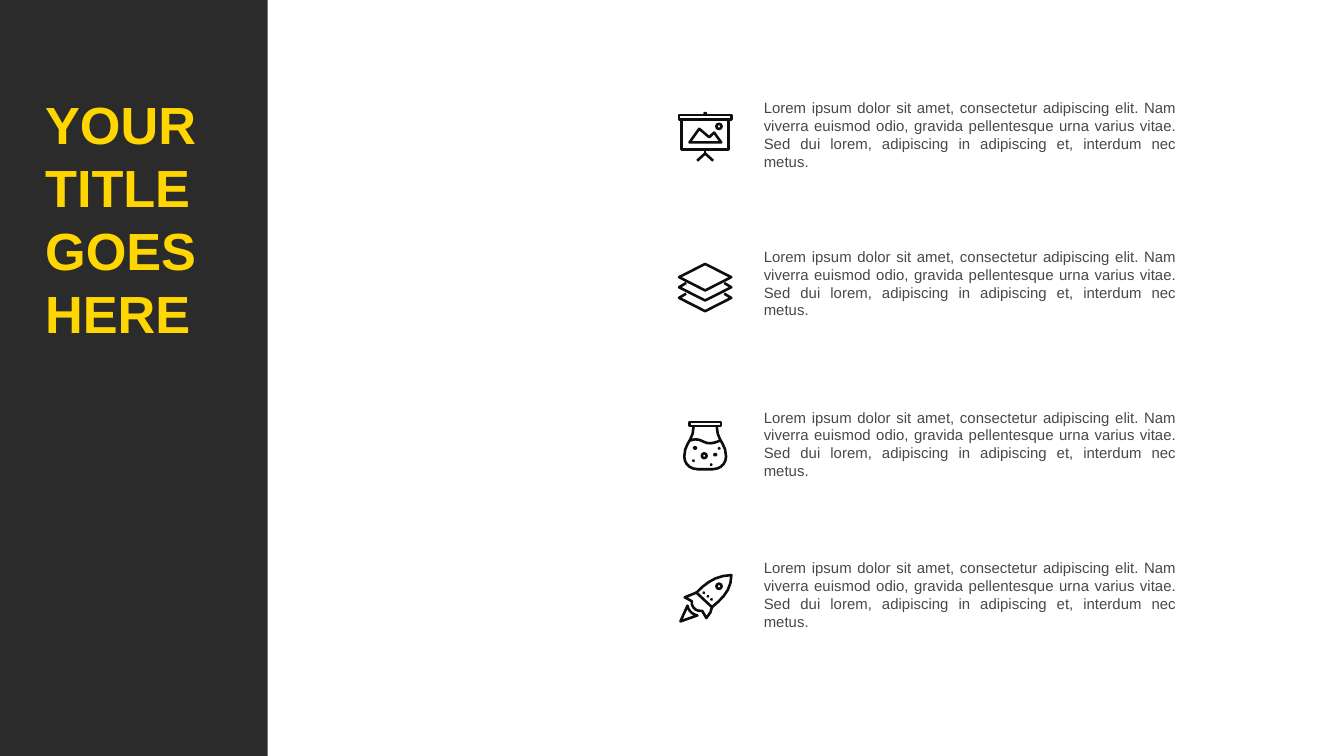
import math

from lxml import etree
from pptx import Presentation
from pptx.dml.color import RGBColor
from pptx.enum import shapes, text
from pptx.oxml import ns
from pptx.util import Pt

COLOURS = {"ink": "0E0E0E", "title": "FFD600", "body": "484848"}
STROKE = 1.4
ICON_LEFT = 363
MIDDLE = 14.8
LOREM = (
    "Lorem ipsum dolor sit amet, consectetur adipiscing elit. Nam viverra euismod odio, "
    "gravida pellentesque urna varius vitae. Sed dui lorem, adipiscing in adipiscing et, "
    "interdum nec metus."
)


def colour(name):
    return RGBColor.from_string(COLOURS[name])


def write(box, words, size, name, align, bold=False):
    frame = box.text_frame
    frame.word_wrap = True
    frame.auto_size = text.MSO_AUTO_SIZE.SHAPE_TO_FIT_TEXT
    frame.vertical_anchor = text.MSO_ANCHOR.TOP
    para = frame.paragraphs[0]
    para.alignment = align
    para.line_spacing = 1.0
    span = para.add_run()
    span.text = words
    span.font.name = "Arial"
    span.font.size = Pt(size)
    span.font.bold = bold
    span.font.color.rgb = colour(name)


def add_sidebar(page):
    sidebar = page.shapes.add_shape(shapes.MSO_SHAPE.RECTANGLE, 0, 0, Pt(143.5), Pt(405))
    sidebar.shadow.inherit = False
    sidebar.line.fill.background()
    sidebar.fill.solid()
    sidebar.fill.fore_color.rgb = colour("ink")
    shade = sidebar.element.spPr.find(".//" + ns.qn("a:srgbClr"))
    etree.SubElement(shade, ns.qn("a:alpha"), val="88000")
    return sidebar


def add_title(page, words):
    title = page.shapes.title
    title.left, title.top, title.width, title.height = Pt(17), Pt(46), Pt(129.6), Pt(143.3)
    write(title, words, 28, "title", text.PP_ALIGN.LEFT, True)
    return title


def add_note(page, top):
    box = page.shapes.add_textbox(Pt(402.1), Pt(top), Pt(235.4), Pt(46))
    write(box, LOREM, 8, "body", text.PP_ALIGN.JUSTIFY)
    box.text_frame.paragraphs[0].space_after = Pt(11.2)


def add_icon(page, top, contours):
    builder = None
    for points, closed in contours:
        spots = [(Pt(ICON_LEFT + x), Pt(top + y)) for x, y in points]
        if builder is None:
            builder = page.shapes.build_freeform(*spots[0], scale=1.0)
        else:
            builder.move_to(*spots[0])
        builder.add_line_segments(spots[1:], close=closed)
    icon = builder.convert_to_shape()
    icon.shadow.inherit = False
    icon.fill.background()
    icon.line.color.rgb = colour("ink")
    icon.line.width = Pt(STROKE)
    etree.SubElement(icon.element.spPr.find(ns.qn("a:ln")), ns.qn("a:round"))


def curve(start, pull, push, end, steps=5):
    points = []
    for step in range(steps + 1):
        t = step / steps
        weights = ((1 - t) ** 3, 3 * t * (1 - t) ** 2, 3 * t * t * (1 - t), t ** 3)
        pairs = list(zip(weights, (start, pull, push, end)))
        points.append(tuple(sum(w * spot[axis] for w, spot in pairs) for axis in (0, 1)))
    return points


def bar(x, y, width, height):
    return [(x, y), (x + width, y), (x + width, y + height), (x, y + height)], True


def ring(x, y, radius, corners=8):
    turns = [2 * math.pi * corner / corners for corner in range(corners)]
    return [(x + radius * math.cos(t), y + radius * math.sin(t)) for t in turns], True


def dot(x, y, radius=0.1):
    return ring(x, y, radius, 4)


def easel():
    return [
        bar(0.8, 1.8, 28, 2.4),
        bar(2.2, 4.3, 25.2, 15.9),
        dot(MIDDLE, 1, 0.4),
        ring(22.2, 7.9, 1.4),
        ([(6.4, 16.5), (11.6, 9.2), (17, 13.7), (19.6, 11.2), (23.4, 16.5)], True),
        ([(MIDDLE, 20.2), (MIDDLE, 22.4)], False),
        ([(10.5, 26.3), (MIDDLE, 22.4), (19.1, 26.3)], False),
    ]


def layers():
    contours = [([(0.8, 8.1), (MIDDLE, 1), (28.8, 8.1), (MIDDLE, 15.2)], True)]
    for drop in (0, 5.7):
        edge = [(4.6, 11.2), (0.8, 13.5), (MIDDLE, 20.6), (28.8, 13.5), (25, 11.2)]
        contours.append(([(x, y + drop) for x, y in edge], False))
    return contours


def flask():
    half = curve((8.6, 3.2), (8.6, 11), (3.6, 12), (3.6, 19.4))
    half += curve((3.6, 19.4), (3.6, 23.2), (6.6, 26.2), (10.8, 26.2))[1:]
    surface = curve((6.8, 10.9), (9, 9.8), (11.6, 10.1), (14, 11.5))
    surface += curve((14, 11.5), (17.3, 13.2), (20.5, 11.8), (22.7, 10.9))[1:]
    return [
        bar(6.3, 0.8, 17, 2.2),
        (half + [(2 * MIDDLE - x, y) for x, y in reversed(half)], False),
        (surface, False),
        ring(14.3, 19, 1.3),
        dot(9.4, 14.8, 0.5),
        dot(20.2, 18.4, 0.5),
        dot(22.3, 15.1),
        dot(8.6, 21.6),
        dot(18, 23.8),
    ]


def rocket():
    nose, left, right = (28.8, 0.8), (10.1, 10.2), (18.4, 18)
    hull = curve(nose, (21, 1), (15.5, 4.5), left) + curve(right, (24.5, 13), (28.8, 8.5), nose)
    fins = [left, (3.8, 12.7)] + curve((7.6, 14.8), (7.2, 18), (9.8, 20.4), (13.2, 20))
    flame = [(1.5, 25.6)] + curve((5.3, 17.2), (5.8, 20), (7.8, 21.8), (10.6, 22.4))
    return [
        (hull, True),
        (fins + [(15.4, 23.8), (17.6, 20.8), right], False),
        (flame, True),
        ring(22.2, 6.8, 1.4),
        dot(14, 10.3),
        dot(16.3, 12.2),
        dot(18.2, 13.9),
    ]


def main():
    deck = Presentation()
    deck.slide_width, deck.slide_height = Pt(720), Pt(405)
    page = deck.slides.add_slide(deck.slide_layouts[5])
    sidebar = add_sidebar(page)
    title = add_title(page, "YOUR TITLE GOES HERE")
    title.element.addprevious(sidebar.element)
    rows = ((49.2, 59.8, easel()), (129, 140.4, layers()),
            (215.1, 225.2, flask()), (295.9, 307.3, rocket()))
    for note_top, icon_top, contours in rows:
        add_note(page, note_top)
        add_icon(page, icon_top, contours)
    deck.save("out.pptx")


if __name__ == "__main__":
    main()
